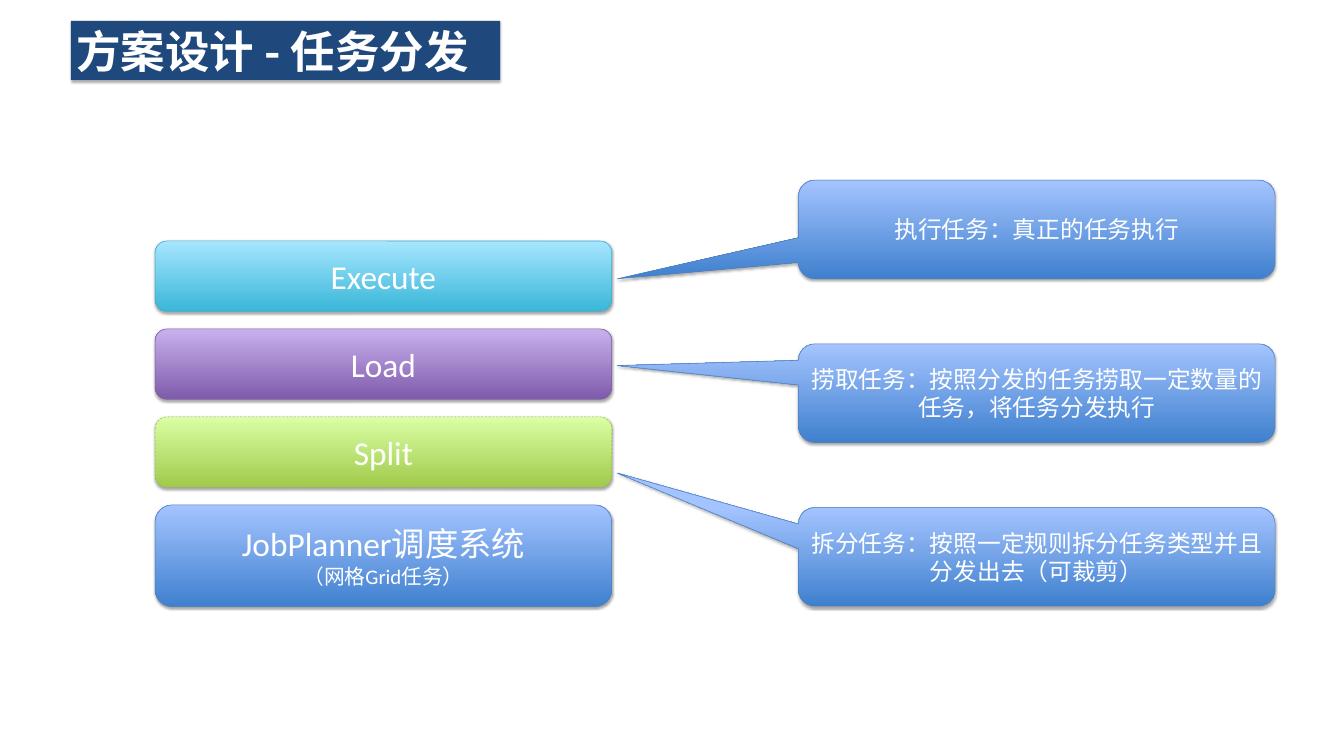
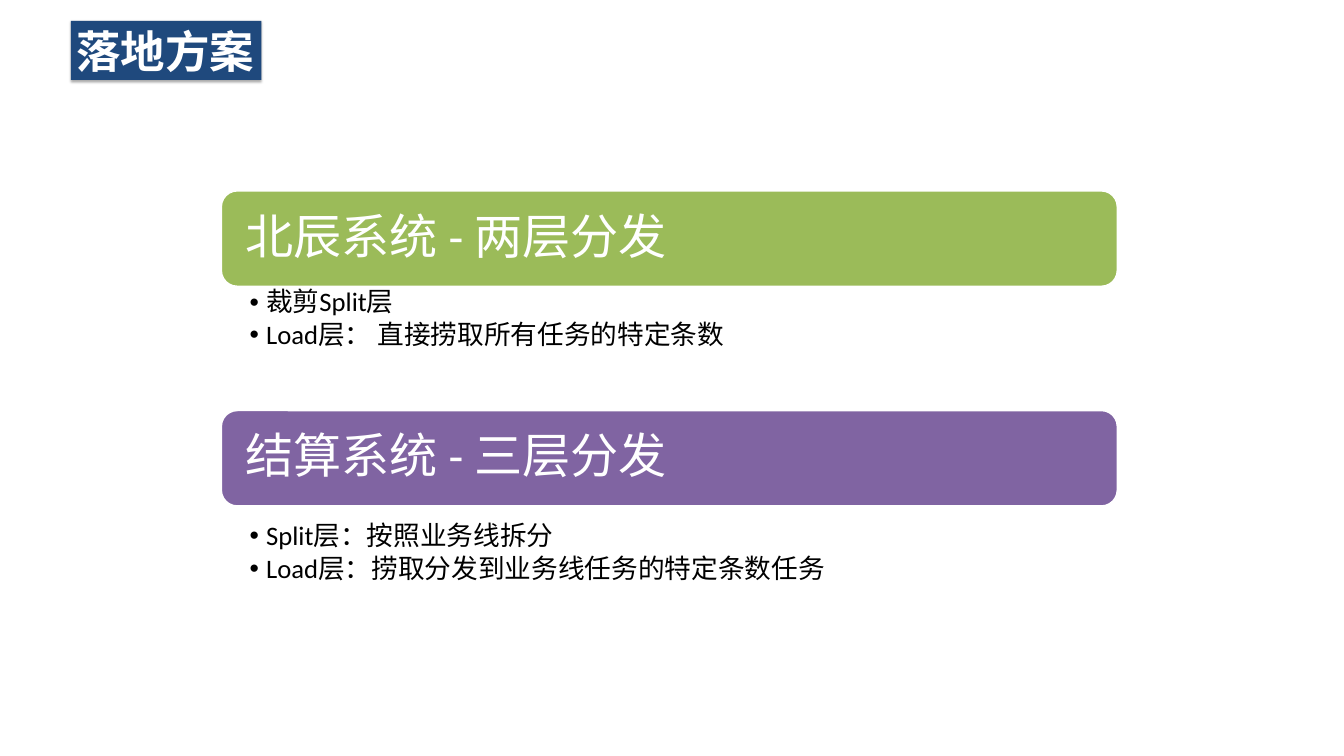
import pptx
import pptx.util
import pptx.dml.color
import pptx.enum.dml
import pptx.enum.shapes
import pptx.enum.text
import pptx.oxml.ns
import pptx.oxml.xmlchemy

Inches, Pt = pptx.util.Inches, pptx.util.Pt
RGBColor = pptx.dml.color.RGBColor
Shapes = pptx.enum.shapes.MSO_SHAPE
Align = pptx.enum.text.PP_ALIGN
Anchor = pptx.enum.text.MSO_ANCHOR
DASH = pptx.enum.dml.MSO_LINE.DASH

WIDTH, HEIGHT = 25.2, 14.18
LATIN, CHINESE = "Calibri", "Noto Sans CJK SC"

WHITE = RGBColor(0xFF, 0xFF, 0xFF)
BLACK = RGBColor(0x00, 0x00, 0x00)
NAVY = RGBColor(0x1F, 0x49, 0x7D)
GREEN = RGBColor(0x9B, 0xBB, 0x59)
PURPLE = RGBColor(0x80, 0x64, 0xA2)
BLUE_EDGE = RGBColor(0x4B, 0x7E, 0xBC)
CALLOUT_EDGE = RGBColor(0x4F, 0x81, 0xBD)
GREEN_EDGE = RGBColor(0x98, 0xB9, 0x55)
PURPLE_EDGE = RGBColor(0x7D, 0x60, 0xA0)
CYAN_EDGE = RGBColor(0x46, 0xAA, 0xC5)
# Gradients run from the bottom colour to the top colour
BLUE_FADE = RGBColor(0x3F, 0x80, 0xCE), RGBColor(0xA4, 0xC4, 0xFF)
GREEN_FADE = RGBColor(0xA0, 0xCA, 0x4A), RGBColor(0xDA, 0xFF, 0xA5)
PURPLE_FADE = RGBColor(0x7F, 0x5B, 0xAB), RGBColor(0xC8, 0xB0, 0xED)
CYAN_FADE = RGBColor(0x39, 0xB7, 0xD8), RGBColor(0xA7, 0xE6, 0xFF)

# Paragraphs with sizes, height, gradient, edge colour, edge dash
TIERS = [
    ([("Execute", 45)], 1.32, CYAN_FADE, CYAN_EDGE, None),
    ([("Load", 45)], 1.32, PURPLE_FADE, PURPLE_EDGE, None),
    ([("Split", 45)], 1.32, GREEN_FADE, GREEN_EDGE, DASH),
    ([("JobPlanner调度系统", 45), ("（网格Grid任务）", 28)], 1.91,
     BLUE_FADE, BLUE_EDGE, None),
]
# Text and where the pointer ends, as shares of the callout's size
CALLOUTS = [
    ("执行任务：真正的任务执行", (-0.88, 0.5)),
    ("捞取任务：按照分发的任务捞取一定数量的任务，将任务分发执行", (-0.88, -0.28)),
    ("拆分任务：按照一定规则拆分任务类型并且分发出去（可裁剪）", (-0.88, -0.85)),
]
# Heading, bar colour, gap between bar and list, list items
SYSTEMS = [
    ("北辰系统 - 两层分发", GREEN, 0,
     ["裁剪Split层", "Load层： 直接捞取所有任务的特定条数"]),
    ("结算系统 - 三层分发", PURPLE, 0.26,
     ["Split层：按照业务线拆分", "Load层：捞取分发到业务线任务的特定条数任务"]),
]

TIER_LEFT, TIER_TOP, TIER_WIDTH, TIER_PITCH = 2.91, 4.52, 8.56, 1.65
CALLOUT_LEFT, CALLOUT_TOP, CALLOUT_PITCH = 14.97, 3.38, 3.07
CALLOUT_WIDTH, CALLOUT_HEIGHT = 8.94, 1.85
BAR_WIDTH, BAR_HEIGHT, BAR_TOP, BAR_PITCH = 16.8, 1.79, 3.58, 4.12
LIST_HEIGHT = 1.43


def place(shape, left, top, width, height):
    shape.left, shape.top = Inches(left), Inches(top)
    shape.width, shape.height = Inches(width), Inches(height)


def add_box(page, kind, left, top, width, height):
    box = page.shapes.add_shape(
        kind, Inches(left), Inches(top), Inches(width), Inches(height))
    box.shadow.inherit = False
    return box


def cast_shadow(shape, blur, distance, opacity):
    shape.shadow.inherit = False
    effects = shape._element.spPr.find(pptx.oxml.ns.qn("a:effectLst"))
    shadow = pptx.oxml.xmlchemy.OxmlElement("a:outerShdw")
    for key, value in (("blurRad", Pt(blur)), ("dist", Pt(distance)),
                       ("dir", 90 * 60000), ("rotWithShape", 0)):
        shadow.set(key, str(int(value)))
    colour = pptx.oxml.xmlchemy.OxmlElement("a:srgbClr")
    colour.set("val", str(BLACK))
    alpha = pptx.oxml.xmlchemy.OxmlElement("a:alpha")
    alpha.set("val", str(opacity * 1000))
    colour.append(alpha)
    shadow.append(colour)
    effects.append(shadow)


def write(shape, lines, colour, align, latin=LATIN, bold=False):
    """Fill a shape with (text, size) paragraphs."""
    frame = shape.text_frame
    frame.word_wrap = True
    frame.auto_size = pptx.enum.text.MSO_AUTO_SIZE.NONE
    frame.vertical_anchor = Anchor.MIDDLE
    frame.text = "\n".join(text for text, _ in lines)
    for para, (_, size) in zip(frame.paragraphs, lines):
        para.alignment = align
        for span in para.runs:
            span.font.size, span.font.bold = Pt(size), bold
            span.font.name = latin
            span.font.color.rgb = colour
            asian = pptx.oxml.xmlchemy.OxmlElement("a:ea")
            asian.set("typeface", CHINESE)
            span._r.get_or_add_rPr().append(asian)
    return frame


def add_page(deck, layout, title, title_width):
    page = deck.slides.add_slide(deck.slide_layouts.get_by_name(layout))
    label = page.shapes.title
    place(label, 1.33, 0.39, title_width, 1.11)
    label.fill.solid()
    label.fill.fore_color.rgb = NAVY
    cast_shadow(label, 3.5, 2.2, 32)
    frame = write(label, [(title, 60)], WHITE, Align.LEFT, CHINESE, True)
    frame.word_wrap = False
    return page


def make_glossy(box, fade, edge, dash=None):
    box.fill.gradient()
    box.fill.gradient_angle = 90
    for stop, colour in zip(box.fill.gradient_stops, fade):
        stop.color.rgb = colour
    box.line.color.rgb = edge
    box.line.width = Pt(0.75)
    if dash:
        box.line.dash_style = dash
    cast_shadow(box, 3.1, 1.8, 35)


def build_dispatch(deck):
    page = add_page(deck, "Title Only", "方案设计 - 任务分发", 8.05)
    for row, (lines, height, fade, edge, dash) in enumerate(TIERS):
        tier = add_box(page, Shapes.ROUNDED_RECTANGLE, TIER_LEFT,
                       TIER_TOP + row * TIER_PITCH, TIER_WIDTH, height)
        make_glossy(tier, fade, edge, dash)
        write(tier, lines, WHITE, Align.CENTER)
    for row, (text, pointer) in enumerate(CALLOUTS):
        callout = add_box(page, Shapes.ROUNDED_RECTANGULAR_CALLOUT, CALLOUT_LEFT,
                          CALLOUT_TOP + row * CALLOUT_PITCH,
                          CALLOUT_WIDTH, CALLOUT_HEIGHT)
        callout.adjustments[0], callout.adjustments[1] = pointer
        make_glossy(callout, BLUE_FADE, CALLOUT_EDGE)
        write(callout, [(text, 32)], WHITE, Align.CENTER)


def build_rollout(deck):
    page = add_page(deck, "Two Content", "落地方案", 3.57)
    left = (WIDTH - BAR_WIDTH) / 2 - 0.05
    bodies = [holder for holder in page.placeholders
              if holder.placeholder_format.idx]
    for row, (heading, colour, gap, items) in enumerate(SYSTEMS):
        top = BAR_TOP + row * BAR_PITCH
        bar = add_box(page, Shapes.ROUNDED_RECTANGLE, left, top,
                      BAR_WIDTH, BAR_HEIGHT)
        bar.fill.solid()
        bar.fill.fore_color.rgb = colour
        bar.line.color.rgb = WHITE
        bar.line.width = Pt(2)
        frame = write(bar, [(heading, 65)], WHITE, Align.LEFT)
        frame.margin_left = Inches(0.36)
        frame.paragraphs[0].line_spacing = 0.9

        body = bodies[row]
        place(body, left, top + BAR_HEIGHT + gap, BAR_WIDTH, LIST_HEIGHT)
        frame = write(body, [(item, 36) for item in items], BLACK, Align.LEFT)
        frame.vertical_anchor = Anchor.TOP
        frame.margin_left, frame.margin_right = Inches(0.53), Inches(0.28)
        for para in frame.paragraphs:
            para.line_spacing = 0.9
            para.space_before, para.space_after = Pt(0), Pt(5)
            indents = para._p.get_or_add_pPr()
            indents.set("marL", str(Inches(0.31)))
            indents.set("indent", str(-Inches(0.31)))


def main():
    deck = pptx.Presentation()
    deck.slide_width, deck.slide_height = Inches(WIDTH), Inches(HEIGHT)
    build_dispatch(deck)
    build_rollout(deck)
    deck.save("out.pptx")


if __name__ == "__main__":
    main()
